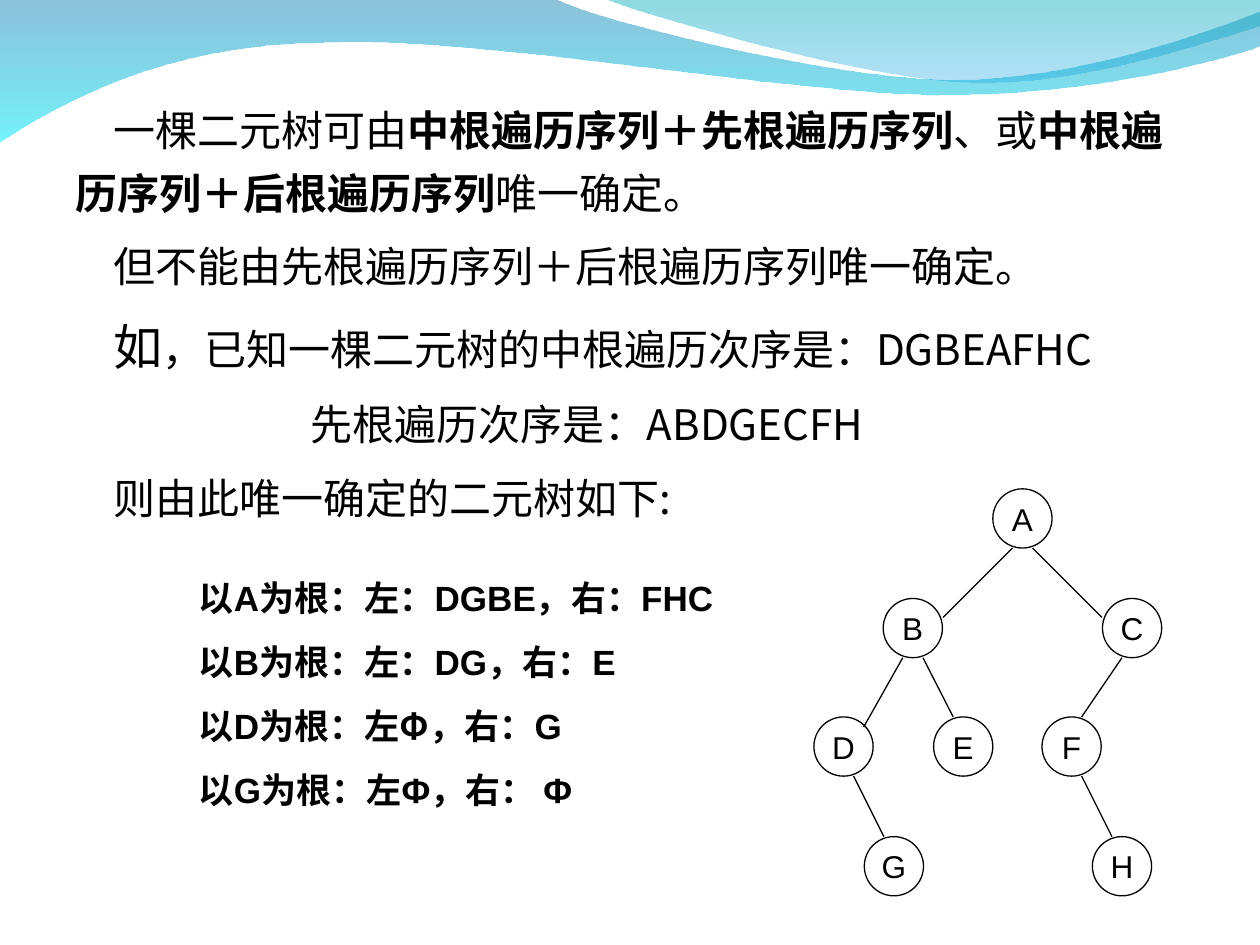
from lxml.etree import SubElement as Sub
from pptx import Presentation
from pptx.dml.color import RGBColor as RGB
from pptx.enum.shapes import MSO_CONNECTOR as Conn, MSO_SHAPE as Shape
from pptx.enum.text import MSO_ANCHOR as Anchor, PP_ALIGN as Align
from pptx.oxml.ns import qn
from pptx.util import Inches, Pt

THEME = {
    "ink": "000000", "cjk": "Noto Sans CJK SC", "latin": "Arial",
    "body": 24, "lead": 28, "note": 20, "node": 18, "line": 0.75,
}

WAVES = [
    {"start": (0, -0.01),
     "steps": [[(4.4, -0.01)],
               [(4.76, 0.17), (6.64, 0.63), (7.58, 0.63)],
               [(8.53, 0.63), (9.58, 0.26), (10, 0.09)],
               [(10.01, 0.36)],
               [(9.83, 0.44), (8.7, 0.76), (7.46, 0.75)],
               [(6.22, 0.75), (3.82, 0.28), (2.57, 0.34)],
               [(1.29, 0.35), (0.46, 0.83), (-0.01, 1.13)],
               [(0, -0.01)]],
     "stops": [("0079AF", 45), ("00EBF8", 55)]},
    {"start": (4.79, -0.01),
     "steps": [[(5.09, 0.11), (6.82, 0.62), (7.69, 0.65)],
               [(8.56, 0.69), (9.61, 0.32), (10, 0.21)],
               [(10, 0)],
               [(4.79, -0.01)]],
     "stops": [("00ADB6", 45), ("009BE5", 30)]},
]

BODY = [
    (0.3, [("一棵二元树可由", {}),
           ("中根遍历序列＋先根遍历序列", {"bold": True}),
           ("、或", {}),
           ("中根遍历序列＋后根遍历序列", {"bold": True}),
           ("唯一确定。", {})]),
    (0.3, [("但不能由先根遍历序列＋后根遍历序列唯一确定。", {})]),
    (0.3, [("如", {"size": THEME["lead"]}),
           ("，已知一棵二元树的中根遍历次序是：DGBEAFHC", {})]),
    (1.87, [("先根遍历次序是：ABDGECFH", {})]),
    (0.3, [("则由此唯一确定的二元树如下:", {})]),
]

NOTES = [
    (0, [("以A为根：左：DGBE，右：FHC", {})]),
    (0, [("以B为根：左：DG，右：E", {})]),
    (0, [("以D为根：左", {}), ("Φ，右：", {"font": THEME["cjk"]}), ("G", {})]),
    (0, [("以G为根：左Φ，右： Φ", {})]),
]

SIZE = 0.47
ROWS = [3.88, 4.75, 5.69, 6.64]
NODES = {"A": (7.88, 0), "B": (7.01, 1), "D": (6.46, 2), "E": (7.41, 2),
         "G": (6.86, 3), "C": (8.75, 1), "F": (8.27, 2), "H": (8.67, 3)}
EDGES = ["AB", "AC", "BD", "BE", "DG", "CF", "FH"]
PORT = 0.08
HITS = {"B": (0.24, 0.15), "C": (0.24, 0.15), "D": (0.16, 0.08)}


def write(frame, paras, *, size, font, bold=False, align=None, gap=0, lead=None):
    """Fill a text frame with indented paragraphs of formatted runs."""
    for i, (indent, runs) in enumerate(paras):
        para = frame.paragraphs[0] if i == 0 else frame.add_paragraph()
        para.alignment = align
        para.line_spacing = lead
        para.space_before = Pt(gap if i else 0)
        props = para._p.get_or_add_pPr()
        props.set("marL", "0")
        props.set("indent", str(Inches(indent)))
        for text, style in runs:
            run = para.add_run()
            run.text = text
            run.font.size = Pt(style.get("size", size))
            run.font.bold = style.get("bold", bold)
            run.font.color.rgb = RGB.from_string(THEME["ink"])
            run.font.name = style.get("font", font)
            Sub(run._r.get_or_add_rPr(), qn("a:ea"), typeface=THEME["cjk"])


def box(slide, spot, paras, **style):
    """Add a wrapped text box."""
    frame = slide.shapes.add_textbox(*map(Inches, spot)).text_frame
    frame.word_wrap = True
    write(frame, paras, **style)


def bend(shape, steps):
    """Turn each group of three line points into one cubic curve."""
    lines = iter(list(shape._element.iter(qn("a:lnTo"))))
    for step in steps:
        group = [next(lines) for _ in step]
        if len(group) == 3:
            first = group[0]
            first.tag = qn("a:cubicBezTo")
            for line in group[1:]:
                first.append(line[0])
                line.getparent().remove(line)


def wave(slide, start, steps, stops):
    """Draw one translucent wave with a downward gradient."""
    spots = [tuple(map(Inches, spot)) for step in steps for spot in step]
    pen = slide.shapes.build_freeform(*map(Inches, start))
    pen.add_line_segments(spots, close=True)
    shape = pen.convert_to_shape()
    bend(shape, steps)
    shape.shadow.inherit = False
    shape.line.fill.background()
    shape.fill.gradient()
    shape.fill.gradient_angle = 270
    for stop, (tone, _) in zip(shape.fill.gradient_stops, stops):
        stop.color.rgb = RGB.from_string(tone)
    for tint, (_, alpha) in zip(shape._element.spPr.iter(qn("a:srgbClr")), stops):
        Sub(tint, qn("a:alpha"), val=str(alpha * 1000))


def stroke(line):
    """Apply the thin tree outline."""
    line.color.rgb = RGB.from_string(THEME["ink"])
    line.width = Pt(THEME["line"])


def node(slide, name):
    """Draw one lettered tree node."""
    left, row = NODES[name]
    spot = map(Inches, (left, ROWS[row], SIZE, SIZE))
    shape = slide.shapes.add_shape(Shape.OVAL, *spot)
    shape.shadow.inherit = False
    shape.fill.background()
    stroke(shape.line)
    frame = shape.text_frame
    frame.word_wrap = False
    frame.vertical_anchor = Anchor.MIDDLE
    write(frame, [(0, [(name, {})])], size=THEME["node"],
          font=THEME["latin"], align=Align.CENTER)


def edge(slide, top, low):
    """Join a parent node to its child."""
    (x1, r1), (x2, r2) = NODES[top], NODES[low]
    side = 1 if x2 > x1 else -1
    dx, dy = HITS.get(low, (PORT, 0))
    mid = SIZE / 2
    ends = (x1 + mid + side * PORT, ROWS[r1] + SIZE,
            x2 + mid - side * dx, ROWS[r2] + dy)
    link = slide.shapes.add_connector(Conn.STRAIGHT, *map(Inches, ends))
    stroke(link.line)
    Sub(link._element.spPr, qn("a:effectLst"))


def main():
    """Build the binary tree slide."""
    deck = Presentation()
    deck.slide_width, deck.slide_height = Inches(10), Inches(7.5)
    slide = deck.slides.add_slide(deck.slide_layouts[6])
    for item in WAVES:
        wave(slide, **item)
    box(slide, (0.5, 0.68, 9, 6.03), BODY, size=THEME["body"],
        font=THEME["cjk"], gap=6, lead=1.25)
    for name in NODES:
        node(slide, name)
    for top, low in EDGES:
        edge(slide, top, low)
    box(slide, (1.48, 4.53, 4.45, 2.29), NOTES, size=THEME["note"],
        font=THEME["latin"], bold=True, gap=12.5)
    deck.save("out.pptx")


if __name__ == "__main__":
    main()
